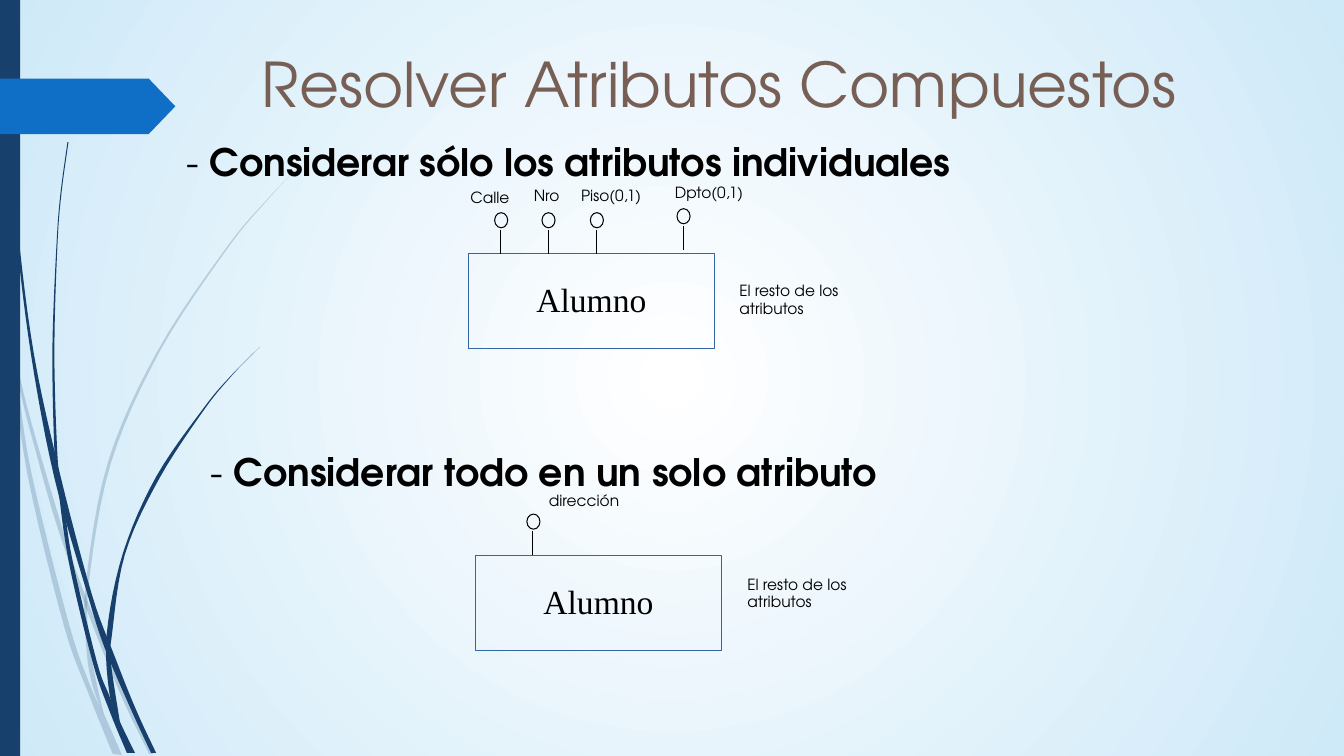
from lxml import etree
from pptx import Presentation
from pptx.dml.color import RGBColor
from pptx.enum.shapes import MSO_CONNECTOR, MSO_SHAPE
from pptx.enum.text import MSO_ANCHOR, PP_ALIGN
from pptx.oxml.ns import qn
from pptx.util import Pt

LINE = MSO_CONNECTOR.STRAIGHT
RECT, OVAL, ARROW = MSO_SHAPE.RECTANGLE, MSO_SHAPE.OVAL, MSO_SHAPE.PENTAGON
TOP, MIDDLE = MSO_ANCHOR.TOP, MSO_ANCHOR.MIDDLE
LEFT, CENTER = PP_ALIGN.LEFT, PP_ALIGN.CENTER

# Content: places are (left, top, width, height) in px, 100 to the inch
SIZE = (1334, 750)
TITLE = ("Resolver Atributos Compuestos", (260, 16, 975, 140))
HEADS = [
    ("Considerar sólo los atributos individuales", (165, 137, 945, 55)),
    ("Considerar todo en un solo atributo", (189, 444, 945, 55)),
]
ENTITY, REST = "Alumno", "El resto de los atributos"
# Entity box, place of the side note, pins as (label, pin x, pin foot, label place)
MODELS = [
    ((465, 252, 244, 94), (724, 276, 173, 45), [
        ("Calle", 497, 252, (457, 183, 63, 28)),
        ("Nro", 544, 252, (520, 181, 63, 28)),
        ("Piso(0,1)", 592, 252, (567, 181, 87, 28)),
        ("Dpto(0,1)", 678, 248, (660, 178, 96, 28)),
    ]),
    ((472, 551, 244, 94), (732, 567, 173, 45), [
        ("dirección", 529, 551, (535, 484, 94, 28)),
    ]),
]
STEM, RING_W, RING_H, RING_UP = 24, 13, 15, 41

# Grass blades: left edge and right edge, both from top to bottom
PALE = [
    ([(0, 299), (8, 342), (17, 376), (29, 424), (56, 520), (88, 610), (121, 692), (148, 748)],
     [(0, 282), (7, 320), (14, 345), (27, 404), (60, 518), (82, 584), (126, 690), (152, 748)]),
    ([(11, 350), (27, 469), (63, 619), (89, 691), (112, 748)],
     [(11, 350), (17, 376), (31, 468), (68, 617), (90, 681), (104, 710), (121, 749)]),
    ([(309, 153), (287, 175), (266, 197), (226, 244), (157, 347), (107, 459), (85, 581),
      (86, 645), (92, 681), (103, 709)],
     [(309, 153), (287, 175), (266, 198), (227, 245), (159, 348), (110, 460), (88, 581),
      (90, 645), (103, 709)]),
]
DARK = [
    ([(3, 0), (3, 48), (6, 109), (16, 232), (31, 353), (54, 474), (87, 590), (104, 643),
      (131, 706), (150, 747)],
     [(3, 0), (4, 48), (7, 109), (18, 231), (34, 353), (60, 472), (91, 589), (113, 649),
      (135, 704), (155, 747)]),
    ([(57, 477), (68, 556), (92, 657), (109, 706), (126, 747)],
     [(57, 477), (64, 505), (72, 556), (96, 656), (108, 689), (120, 718), (134, 747)]),
    ([(67, 141), (60, 192), (56, 244), (52, 348), (54, 447), (57, 476), (62, 503)],
     [(68, 141), (61, 192), (57, 244), (54, 348), (57, 451), (62, 503)]),
    ([(258, 344), (229, 373), (202, 405), (155, 473), (122, 549), (106, 629), (109, 690), (119, 716)],
     [(258, 344), (243, 359), (229, 374), (203, 406), (158, 475), (124, 550), (111, 631),
      (110, 656), (119, 716)]),
]


class Theme:
    sans, serif = "TeX Gyre Adventor", "Times New Roman"
    navy, blue, edge = "17406D", "0F6FC6", "3465A4"
    brown, ink = "775F55", "000000"
    glow, sky = "FFFFFF", "CEE9F8"
    title, head, entity, label = 44, 27, 24, 11
    rule, lead = 0.75, 0.93


SCALE = 9144


def emu(*nums):
    return [round(n * SCALE) for n in nums]


def rgb(code):
    return RGBColor.from_string(code)


deck = Presentation()
deck.slide_width, deck.slide_height = emu(*SIZE)
slide = deck.slides.add_slide(deck.slide_layouts[3])
shapes = slide.shapes


# Helpers
def paint(shape, fill=None, line=None):
    shape.shadow.inherit = False
    if fill:
        shape.fill.solid()
        shape.fill.fore_color.rgb = rgb(fill)
    else:
        shape.fill.background()
    if line:
        shape.line.color.rgb = rgb(line)
        shape.line.width = Pt(Theme.rule)
    else:
        shape.line.fill.background()


def add(kind, box, fill=None, line=None):
    shape = shapes.add_shape(kind, *emu(*box))
    paint(shape, fill, line)
    return shape


def place(shape, box):
    shape.left, shape.top, shape.width, shape.height = emu(*box)


def write(shape, text, size, font=Theme.sans, color=Theme.ink, anchor=TOP, align=LEFT, pad=(10, 5, 10, 5)):
    frame = shape.text_frame
    frame.text = text
    frame.word_wrap = True
    frame.vertical_anchor = anchor
    (frame.margin_left, frame.margin_top,
     frame.margin_right, frame.margin_bottom) = emu(*pad)
    para = frame.paragraphs[0]
    para.alignment, para.line_spacing = align, Theme.lead
    para.space_before = Pt(0)
    style(para.runs[0], size, font, color)
    return para


def style(run, size, font=Theme.sans, color=Theme.ink):
    run.font.size, run.font.name = Pt(size), font
    run.font.color.rgb = rgb(color)


def note(text, box):
    write(shapes.add_textbox(*emu(*box)), text, Theme.label)


def smooth(knots, steps=6):
    """Points of a Catmull-Rom curve through the knots."""
    ext = [knots[0], *knots, knots[-1]]
    out = []
    for a, b, c, d in zip(ext, ext[1:], ext[2:], ext[3:]):
        for t in (n / steps for n in range(steps)):
            out.append(tuple(
                q + t * (r - p + t * (2 * p - 5 * q + 4 * r - s + t * (3 * q - p - 3 * r + s))) / 2
                for p, q, r, s in zip(a, b, c, d)))
    return out + [knots[-1]]


def blade(left, right, alpha=None):
    pts = [emu(*p) for p in smooth(left) + smooth(right)[::-1]]
    pen = shapes.build_freeform(*pts[0])
    pen.add_line_segments(pts[1:], close=True)
    shape = pen.convert_to_shape()
    paint(shape, Theme.navy)
    if alpha:
        tint = shape.fill._xPr.find(qn("a:solidFill"))[0]
        etree.SubElement(tint, qn("a:alpha"), val=str(alpha * 1000))


def pin(x, foot):
    stem = shapes.add_connector(LINE, *emu(x, foot, x, foot - STEM))
    stem.line.color.rgb = rgb(Theme.ink)
    stem.line.width = Pt(Theme.rule)
    etree.SubElement(stem._element.spPr, qn("a:effectLst"))
    add(OVAL, (x - RING_W // 2, foot - RING_UP, RING_W, RING_H), line=Theme.ink)


# Background: round glow from the centre
back = slide.background.fill
back.gradient()
for stop, color in zip(back.gradient_stops, (Theme.glow, Theme.sky)):
    stop.color.rgb = rgb(color)
grad = slide._element.find(".//" + qn("a:gradFill"))
grad.remove(grad.find(qn("a:lin")))
ring = etree.SubElement(grad, qn("a:path"), path="circle")
etree.SubElement(ring, qn("a:fillToRect"), {side: "50000" for side in "ltrb"})

# Decoration on the left
for left, right in PALE:
    blade(left, right, alpha=20)
for left, right in DARK:
    blade(left, right)
add(RECT, (0, 0, 20, SIZE[1]), fill=Theme.navy)
flag = add(ARROW, (-1, 78, 175, 55), fill=Theme.blue)
flag.adjustments[0] = 0.48

# Title and headings
title, *bodies = slide.placeholders
place(title, TITLE[1])
write(title, TITLE[0], Theme.title, color=Theme.brown, anchor=MIDDLE, pad=(0, 1, 0, 0))
for body, (text, box) in zip(bodies, HEADS):
    place(body, box)
    para = write(body, " - ", Theme.head)
    run = para.add_run()
    run.text = text
    style(run, Theme.head)
    run.font.bold = True
    props = para._p.get_or_add_pPr()
    props.set("marL", "0")
    props.set("indent", "0")
    etree.SubElement(props, qn("a:buNone"))

# Entities with their attributes
for box, side, pins in MODELS:
    entity = add(RECT, box, line=Theme.edge)
    write(entity, ENTITY, Theme.entity, font=Theme.serif, anchor=MIDDLE, align=CENTER)
    for label, x, foot, spot in pins:
        pin(x, foot)
        note(label, spot)
    note(REST, side)

deck.save("out.pptx")
